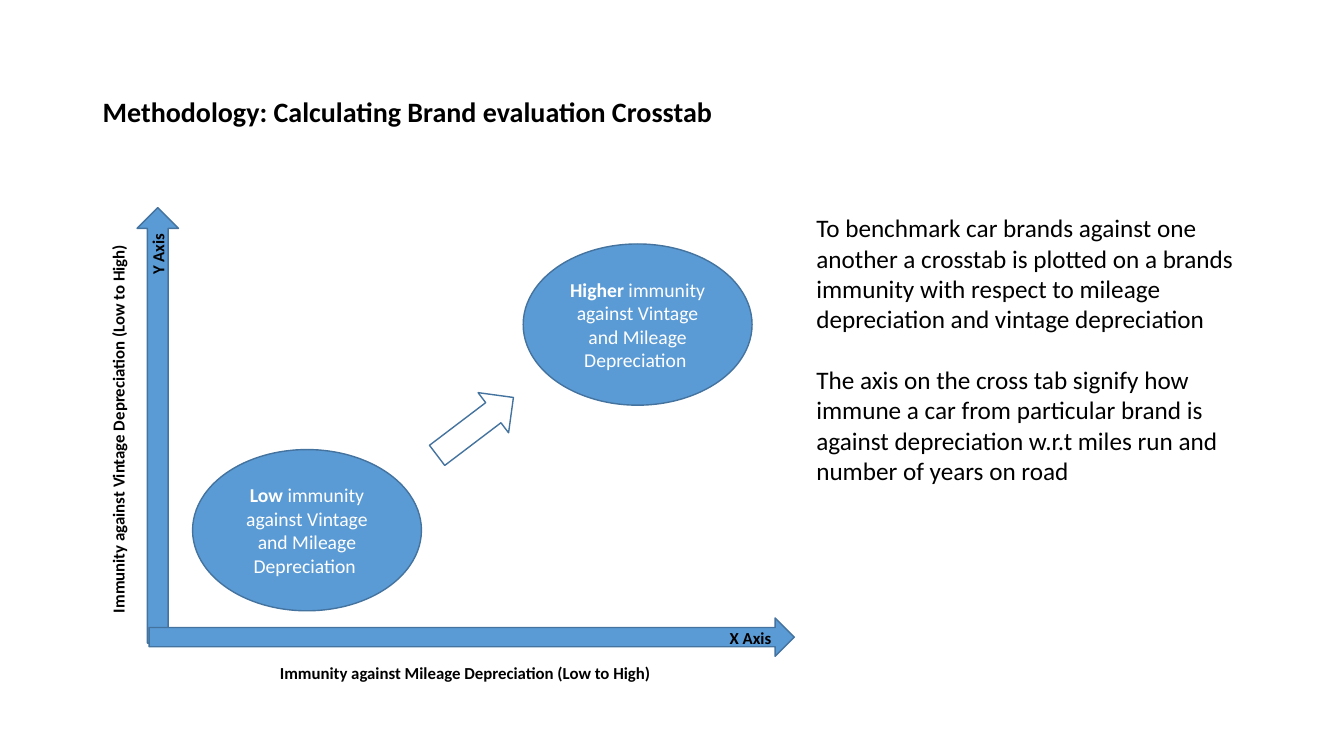
from collections import namedtuple

from pptx import Presentation
from pptx.dml.color import RGBColor
from pptx.enum.shapes import MSO_SHAPE
from pptx.enum.text import MSO_ANCHOR, PP_ALIGN
from pptx.util import Inches, Pt

DOWN_ARROW = MSO_SHAPE.DOWN_ARROW
RIGHT_ARROW = MSO_SHAPE.RIGHT_ARROW
OVAL = MSO_SHAPE.OVAL
LEFT, CENTER = PP_ALIGN.LEFT, PP_ALIGN.CENTER
TOP, MIDDLE = MSO_ANCHOR.TOP, MSO_ANCHOR.MIDDLE

COLORS = {"text": "000000", "light": "FFFFFF", "fill": "5B9BD5", "line": "43739E"}
FONT = "Calibri"

# The slide is a grid of 100 columns by 100 rows
SLIDE_WIDTH, SLIDE_HEIGHT = Inches(13.33), Inches(7.5)
COLUMN, ROW = SLIDE_WIDTH / 100, SLIDE_HEIGHT / 100

Box = namedtuple("Box", "left top width height")


def inside(box, left, top, width, height):
    """Return a box placed relative to the corner of another one."""
    return Box(box.left + left, box.top + top, width, height)


def frame(box, rotation=0):
    """Turn a visible box into the lengths of the shape before rotation."""
    left, top = box.left * COLUMN, box.top * ROW
    width, height = box.width * COLUMN, box.height * ROW
    if rotation % 180 == 90:
        left, top = left + (width - height) / 2, top + (height - width) / 2
        width, height = height, width
    return [round(length) for length in (left, top, width, height)]


def write_text(shape, paragraphs, size, color="text", align=LEFT, anchor=TOP,
               line_spacing=None, gap=0):
    """Fill a shape with paragraphs, each a list of (text, bold) runs."""
    text_frame = shape.text_frame
    text_frame.word_wrap = True
    text_frame.vertical_anchor = anchor
    for index, runs in enumerate(paragraphs):
        paragraph = text_frame.add_paragraph() if index else text_frame.paragraphs[0]
        paragraph.alignment = align
        paragraph.line_spacing = line_spacing
        paragraph.space_before = Pt(gap if index else 0)
        for text, bold in runs:
            run = paragraph.add_run()
            run.text = text
            run.font.name = FONT
            run.font.size = Pt(size)
            run.font.bold = bold
            run.font.color.rgb = RGBColor.from_string(COLORS[color])


def add_text(slide, box, paragraphs, rotation=0, **text_format):
    shape = slide.shapes.add_textbox(*frame(box, rotation))
    shape.rotation = rotation
    write_text(shape, paragraphs, **text_format)


def add_outlined(slide, kind, box, rotation=0, fill="fill"):
    shape = slide.shapes.add_shape(kind, *frame(box, rotation))
    shape.rotation = rotation
    shape.shadow.inherit = False
    if fill:
        shape.fill.solid()
        shape.fill.fore_color.rgb = RGBColor.from_string(COLORS[fill])
    else:
        shape.fill.background()
    shape.line.color.rgb = RGBColor.from_string(COLORS["line"])
    shape.line.width = Pt(1)
    return shape


def add_title(slide, box):
    add_text(slide, box, [[("Methodology: Calculating Brand evaluation Crosstab", True)]],
             size=20, anchor=MIDDLE, line_spacing=0.9)


def add_crosstab(slide, box):
    # Axis arrows
    add_outlined(slide, DOWN_ARROW, inside(box, 0, 0, 3.08, 57.6), 180)
    add_outlined(slide, DOWN_ARROW, inside(box, 0.9, 54.27, 48, 5.07), 270)

    # Axis names and descriptions
    labels = [
        ("X Axis", (43.35, 54.93, 6.45, 3.87), 0, LEFT),
        ("Y Axis", (0.41, -0.47, 2.33, 10.67), 270, LEFT),
        ("Immunity against Mileage Depreciation (Low to High)",
         (3.08, 59.47, 42.68, 3.87), 0, CENTER),
        ("Immunity against Vintage Depreciation (Low to High)",
         (-2.55, -5.87, 2.33, 70.27), 270, CENTER),
    ]
    for text, place, rotation, align in labels:
        add_text(slide, inside(box, *place), [[(text, True)]], rotation,
                 size=12, align=align)

    # Immunity levels
    levels = [
        ("Higher", " immunity against Vintage and Mileage Depreciation ", 28.73, 4.8),
        ("Low ", "immunity against Vintage and Mileage Depreciation ", 4.13, 32),
    ]
    for level, description, left, top in levels:
        oval = add_outlined(slide, OVAL, inside(box, left, top, 17.03, 21.33))
        write_text(oval, [[(level, True), (description, False)]], size=14,
                   color="light", align=CENTER, anchor=MIDDLE)

    # Direction of rising immunity
    add_outlined(slide, RIGHT_ARROW, inside(box, 21.6, 25.6, 7.13, 6.67), 322.8, fill=None)


def add_commentary(slide, box):
    paragraphs = [
        "To benchmark car brands against one another a crosstab is plotted on a brands "
        "immunity with respect to mileage depreciation and vintage depreciation",
        "The axis on the cross tab signify how immune a car from particular brand is "
        "against depreciation w.r.t miles run and number of years on road",
    ]
    add_text(slide, box, [[(text, False)] for text in paragraphs], size=18, gap=22)


def main():
    presentation = Presentation()
    presentation.slide_width, presentation.slide_height = SLIDE_WIDTH, SLIDE_HEIGHT
    slide = presentation.slides.add_slide(presentation.slide_layouts[6])
    add_title(slide, Box(6.9, 5.33, 86.25, 19.33))
    add_crosstab(slide, Box(10.2, 27.47, 48.9, 63.34))
    add_commentary(slide, Box(60, 27.47, 33.15, 38))
    presentation.save("out.pptx")


if __name__ == "__main__":
    main()
